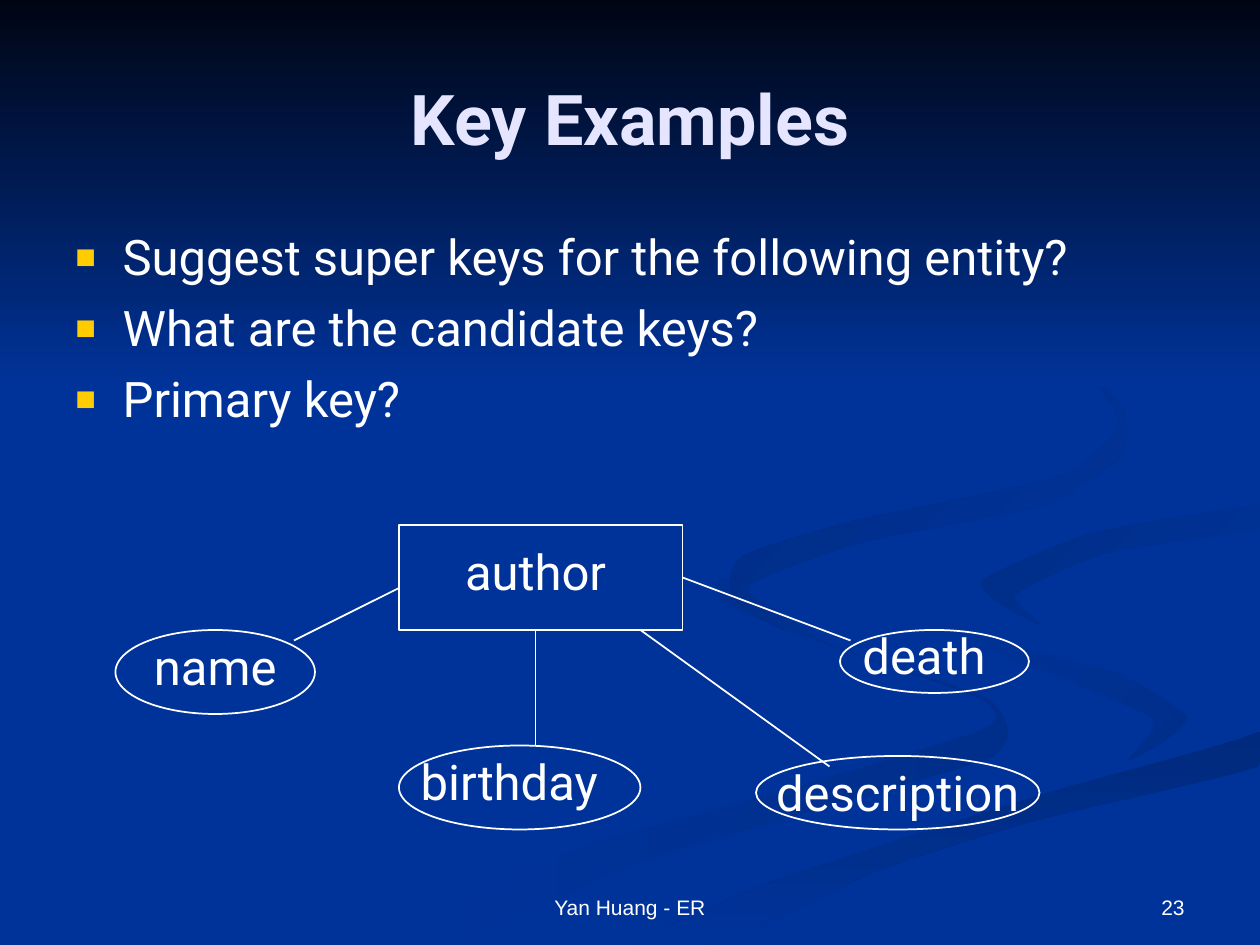
import pptx
import pptx.dml.color
import pptx.enum.shapes
import pptx.enum.text
import pptx.oxml.ns
import pptx.util
from lxml import etree

Pt = pptx.util.Pt
ALIGN = pptx.enum.text.PP_ALIGN
ANCHOR = pptx.enum.text.MSO_ANCHOR
SHAPE = pptx.enum.shapes.MSO_SHAPE
HUES = {"blue": "003399", "night": "000514", "text": "FFFFFF", "title": "E5E5FF",
        "bullet": "FFCC00", "tail": "002E8B", "base": "002A7D", "edge": "002D86",
        "curl": "002B82"}

# Each ribbon: start hue, end hue, clockwise angle, knots of its outline
RIBBONS = [
    ("blue", "tail", 0, [
        (562, 398), (476, 369), (414, 330), (415, 346), (489, 374), (562, 400),
        (562, 417), (444, 453), (330, 485), (216, 539), (260, 539), (359, 495),
        (503, 452), (566, 433), (576, 418)]),
    ("blue", "tail", 45, [
        (679, 410), (639, 385), (557, 362), (521, 334), (537, 360), (603, 386),
        (659, 411), (644, 436), (671, 424)]),
    ("base", "blue", 90, [
        (362, 539), (411, 539), (500, 498), (591, 469), (719, 438), (719, 418),
        (598, 453), (454, 499)]),
    ("blue", None, 0, [
        (522, 334), (558, 362), (640, 385), (679, 410), (642, 436), (507, 472),
        (343, 539), (454, 499), (598, 453), (719, 418), (719, 387), (624, 366),
        (562, 333), (612, 307), (719, 289), (719, 279), (598, 299)]),
    ("edge", "blue", 45, [
        (562, 331), (570, 344), (595, 357), (580, 340), (632, 316), (719, 302),
        (719, 289), (623, 305)]),
    ("curl", "blue", 45, [
        (492, 310), (594, 289), (640, 261), (641, 233), (607, 198), (549, 168),
        (609, 201), (640, 241), (606, 272), (487, 298), (424, 318), (418, 341),
        (448, 360), (427, 335)]),
]


def hue(name):
    return pptx.dml.color.RGBColor.from_string(HUES[name])


def smooth(knots, box, steps=6, pull=0.3):
    """Return a closed curve through the knots, kept inside the box."""
    left, top, wide, high = box
    spots = []
    for i, knot in enumerate(knots):
        near = (knots[i - 1], knot, knots[(i + 1) % len(knots)], knots[(i + 2) % len(knots)])
        for step in range(steps):
            t = step / steps
            bend = t * t * (3 - 2 * t)
            x, y = (b + (c - b) * bend + pull * t * (1 - t) * ((c - a) * (1 - t) - (d - b) * t)
                    for a, b, c, d in zip(*near))
            spots.append((Pt(left + min(x, wide)), Pt(top + min(y, high))))
    return spots


def paint(shape, start, end, angle):
    """Fill with one hue, or with a gradient when an end hue is given."""
    shape.shadow.inherit = False
    shape.line.fill.background()
    fill = shape.fill
    if end is None:
        fill.solid()
        fill.fore_color.rgb = hue(start)
        return
    fill.gradient()
    fill.gradient_angle = (360 - angle) % 360
    for stop, name, place in zip(fill.gradient_stops, (start, end), (0, 1)):
        stop.color.rgb = hue(name)
        stop.position = place


def backdrop(slide, box):
    left, top, wide, high = box
    fill = slide.background.fill
    fill.solid()
    fill.fore_color.rgb = hue("blue")
    for start, end, angle, knots in RIBBONS:
        spots = smooth(knots, box)
        form = slide.shapes.build_freeform(*spots[0], scale=1.0)
        form.add_line_segments(spots[1:], close=True)
        paint(form.convert_to_shape(), start, end, angle)
    sky = slide.shapes.add_shape(SHAPE.RECTANGLE, *map(Pt, (left, top, wide, high * 0.41)))
    paint(sky, "night", "blue", 90)


def label(slide, box, lines, size, font="Roboto", tone="text", bold=False,
          align=ALIGN.CENTER, anchor=ANCHOR.TOP, bullet=False):
    frame = slide.shapes.add_textbox(*map(Pt, box)).text_frame
    frame.word_wrap = True
    frame.vertical_anchor = anchor
    for i, line in enumerate(lines):
        para = frame.add_paragraph() if i else frame.paragraphs[0]
        para.alignment = align
        if i:
            para.space_before = Pt(7)
        if bullet:
            mark(para)
        run = para.add_run()
        run.text = line
        run.font.name = font
        run.font.size = Pt(size)
        run.font.bold = bold
        run.font.color.rgb = hue(tone)


def mark(para):
    """Give the paragraph a square bullet and a hanging indent."""
    props = para._p.get_or_add_pPr()
    props.set("marL", str(Pt(27)))
    props.set("indent", str(Pt(-27)))
    tag = pptx.oxml.ns.qn
    tint = etree.SubElement(props, tag("a:buClr"))
    etree.SubElement(tint, tag("a:srgbClr"), val=HUES["bullet"])
    etree.SubElement(props, tag("a:buSzPct"), val="70000")
    etree.SubElement(props, tag("a:buFont"), typeface="Arial")
    etree.SubElement(props, tag("a:buChar"), char="■")


def ring(slide, kind, box):
    """Add an outlined shape without fill."""
    shape = slide.shapes.add_shape(kind, *map(Pt, box))
    shape.shadow.inherit = False
    shape.fill.background()
    shape.line.color.rgb = hue("text")
    shape.line.width = Pt(1)
    return shape


def link(slide, ends):
    line = slide.shapes.add_connector(pptx.enum.shapes.MSO_CONNECTOR.STRAIGHT, *map(Pt, ends))
    line.line.color.rgb = hue("text")
    line.line.width = Pt(1)
    etree.SubElement(line._element.spPr, pptx.oxml.ns.qn("a:effectLst"))
    return line


def diagram(slide, box):
    """Draw the author entity with its four attributes."""
    left, top = box[:2]
    entity = ring(slide, SHAPE.RECTANGLE, (left + 162, top, 162, 60))
    label(slide, (left + 174, top + 6, 132, 41), ["author"], 28)
    # name, text (x, y, width), oval (x, y, width, height), line (from, to)
    traits = [("name", (6, 60, 102), (0, 60, 114, 48), (162, 36, 102, 66)),
              ("birthday", (156, 126, 138), (162, 126, 138, 48), (240, 60, 240, 126)),
              ("description", (342, 132, 210), (366, 132, 162, 42), (300, 60, 408, 138)),
              ("death", (384, 54, 156), (414, 60, 108, 36), (324, 30, 420, 66))]
    for name, (x, y, wide), (ox, oy, *size), (ax, ay, bx, by) in traits:
        label(slide, (left + x, top + y, wide, 41), [name], 28)
        ring(slide, SHAPE.OVAL, (left + ox, top + oy, *size))
        line = link(slide, (left + ax, top + ay, left + bx, top + by))
        if name == "death":
            line.begin_connect(entity, 3)


def footer(slide, box):
    left, top, wide, high = box
    label(slide, (left + wide - 168, top, 168, high), ["23"], 12, "Arial",
          align=ALIGN.RIGHT, anchor=ANCHOR.BOTTOM)
    label(slide, (left + wide / 2 - 114, top, 228, high), ["Yan Huang - ER"], 12, "Arial",
          anchor=ANCHOR.BOTTOM)


def main():
    deck = pptx.Presentation()
    deck.slide_width, deck.slide_height = Pt(720), Pt(540)
    slide = deck.slides.add_slide(deck.slide_layouts[6])
    backdrop(slide, (0, 0, 720, 540))
    footer(slide, (36, 492, 648, 37))
    label(slide, (36, 22, 648, 90), ["Key Examples"], 40, tone="title", bold=True,
          anchor=ANCHOR.MIDDLE)
    label(slide, (36, 126, 648, 356),
          ["Suggest super keys for the following entity?",
           "What are the candidate keys?", "Primary key?"],
          28, align=ALIGN.LEFT, bullet=True)
    diagram(slide, (66, 300, 552, 174))
    deck.save("out.pptx")


if __name__ == "__main__":
    main()
